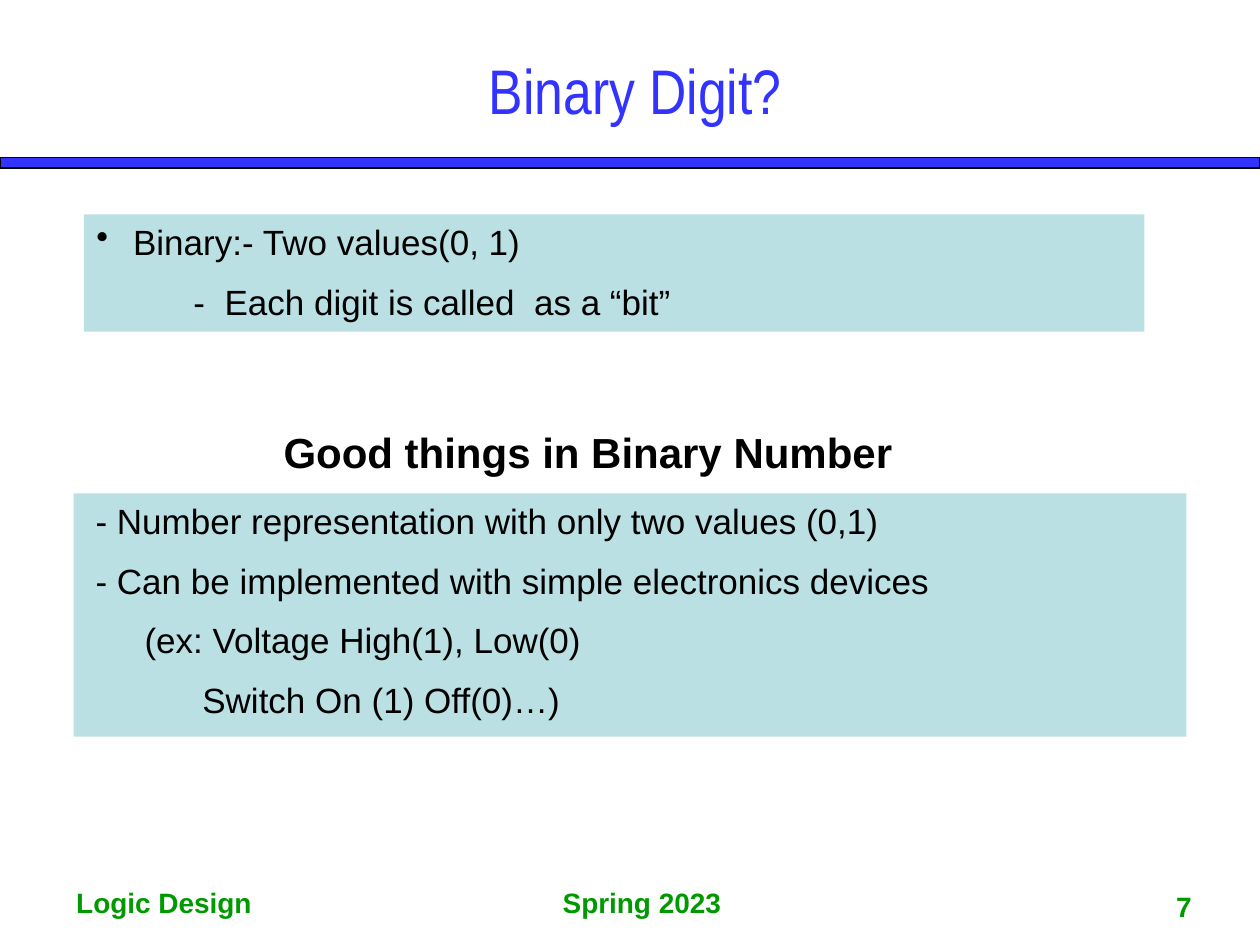
from pptx import Presentation
from pptx.dml.color import RGBColor
from pptx.enum.shapes import MSO_SHAPE
from pptx.enum.text import MSO_ANCHOR, MSO_AUTO_SIZE, PP_ALIGN
from pptx.oxml.ns import qn
from pptx.util import Pt
from lxml.etree import SubElement

BLUE, GREEN, TEAL, BLACK, WHITE = "3333FF", "009900", "BBE0E3", "000000", "FFFFFF"


def color(hex_string):
    return RGBColor.from_string(hex_string)


class SlideBuilder:
    font_name = "Arial"
    body_size = 20
    space_before = 50  # percent of the line height

    def __init__(self, slide):
        self.slide = slide

    def bar(self, left, top, width, height, fill, line):
        shape = self.slide.shapes.add_shape(
            MSO_SHAPE.RECTANGLE, Pt(left), Pt(top), Pt(width), Pt(height))
        shape.shadow.inherit = False
        shape.fill.solid()
        shape.fill.fore_color.rgb = color(fill)
        shape.line.color.rgb = color(line)
        shape.line.width = Pt(0.75)

    def text(self, left, top, width, height, lines, size=body_size, font_color=BLACK,
             fill=None, bold=False, font_name=font_name, centered=False, fit=True):
        """Each line is a tuple: text, left indent, bullet character or None."""
        box = self.slide.shapes.add_textbox(Pt(left), Pt(top), Pt(width), Pt(height))
        if fill:
            box.fill.solid()
            box.fill.fore_color.rgb = color(fill)
        frame = box.text_frame
        frame.word_wrap = True
        frame.auto_size = MSO_AUTO_SIZE.SHAPE_TO_FIT_TEXT if fit else MSO_AUTO_SIZE.NONE
        frame.vertical_anchor = MSO_ANCHOR.TOP if fit else MSO_ANCHOR.BOTTOM
        for index, (words, indent, bullet) in enumerate(lines):
            paragraph = frame.add_paragraph() if index else frame.paragraphs[0]
            paragraph.text = words
            paragraph.alignment = PP_ALIGN.CENTER if centered else PP_ALIGN.LEFT
            font = paragraph.font
            font.name, font.size, font.bold = font_name, Pt(size), bold
            font.color.rgb = color(font_color)
            self.format_paragraph(paragraph, indent, bullet, fit)

    def format_paragraph(self, paragraph, indent, bullet, spaced):
        properties = paragraph._p.get_or_add_pPr()
        properties.set("marL", str(Pt(indent)))
        properties.set("indent", str(Pt(-indent if bullet else 0)))
        if bullet:
            mark = SubElement(properties, qn("a:buChar"), char=bullet)
            properties.insert(0, mark)
        if spaced:
            spacing = SubElement(properties, qn("a:spcBef"))
            SubElement(spacing, qn("a:spcPct"), val=str(self.space_before * 1000))
            properties.insert(0, spacing)


def main():
    presentation = Presentation()
    presentation.slide_width, presentation.slide_height = Pt(720), Pt(540)
    builder = SlideBuilder(presentation.slides.add_slide(presentation.slide_layouts[6]))

    # Rule below the title
    builder.bar(0, 90, 720, 6, BLUE, BLACK)

    # Footer
    for left, width, words in ((36.5, 119, "Logic Design"), (314.5, 107.5, "Spring 2023")):
        builder.text(left, 502.5, width, 26.5, [(words, 0, None)],
                     size=16, font_color=GREEN, bold=True)

    # Title
    builder.text(30, 26, 666, 50.5, [("Binary Digit?", 0, None)], size=36,
                 font_color=BLUE, fill=WHITE, font_name="Arial Narrow", centered=True)

    # Definition
    builder.text(48, 122.5, 606, 67, [
        ("Binary:- Two values(0, 1)", 21, "•"),
        ("-  Each digit is called  as a “bit”", 55.5, None),
    ], fill=TEAL)

    # Advantages
    builder.text(42, 282, 636, 139, [
        ("- Number representation with only two values (0,1)", 5.5, None),
        ("- Can be implemented with simple electronics devices", 5.5, None),
        ("(ex: Voltage High(1), Low(0)", 33.5, None),
        ("Switch On (1) Off(0)…)", 66.5, None),
    ], fill=TEAL)
    builder.text(24, 240, 624, 36, [("Good things in Binary Number", 0, None)],
                 size=24, fill=WHITE, bold=True, centered=True)

    # Slide number
    builder.text(649.5, 497, 54, 34, [("7", 0, None)], size=16,
                 font_color=GREEN, bold=True, centered=True, fit=False)

    presentation.save("out.pptx")


if __name__ == "__main__":
    main()
